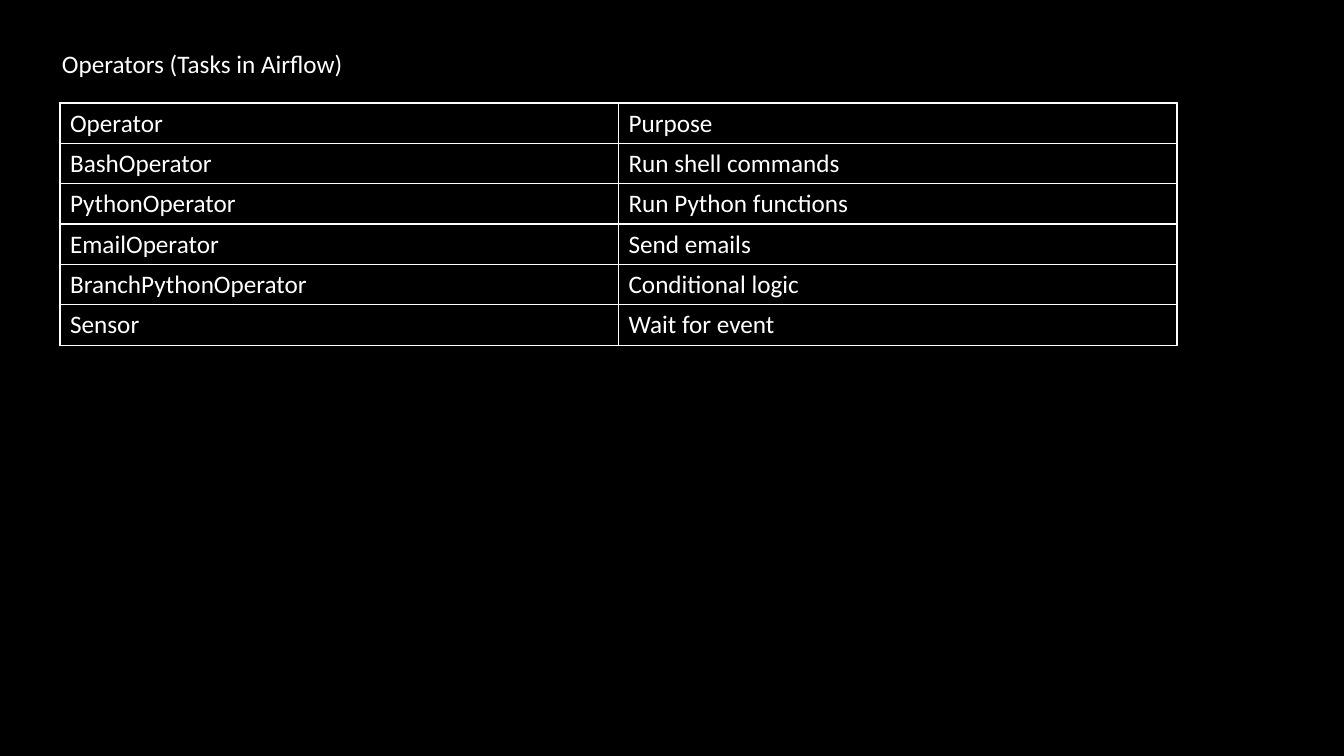
from lxml.etree import SubElement
from pptx import Presentation
from pptx.dml.color import RGBColor
from pptx.enum.text import MSO_ANCHOR, MSO_AUTO_SIZE
from pptx.oxml.ns import qn
from pptx.util import Emu, Pt

COLORS = {"background": "000000", "text": "FFFFFF", "border": "FFFFFF"}
FONT = "Calibri"
EMU_PER_PX = 914400 / 100.8

OPERATORS = [
    ("Operator", "Purpose"),
    ("BashOperator", "Run shell commands"),
    ("PythonOperator", "Run Python functions"),
    ("EmailOperator", "Send emails"),
    ("BranchPythonOperator", "Conditional logic"),
    ("Sensor", "Wait for event"),
]


def px(n):
    return Emu(round(n * EMU_PER_PX))


def rgb(name):
    return RGBColor.from_string(COLORS[name])


def write(tf, text, size=18, color="text", font=FONT):
    r = tf.paragraphs[0].add_run()
    r.text = text
    r.font.size = Pt(size)
    r.font.name = font
    r.font.color.rgb = rgb(color)


class SlideBuilder:
    def __init__(self, prs):
        self.s = prs.slides.add_slide(prs.slide_layouts[6])
        fill = self.s.background.fill
        fill.solid()
        fill.fore_color.rgb = rgb("background")

    def text(self, text, x, y, w, h, **style):
        sp = self.s.shapes.add_textbox(px(x), px(y), px(w), px(h))
        tf = sp.text_frame
        tf.word_wrap = False
        tf.auto_size = MSO_AUTO_SIZE.SHAPE_TO_FIT_TEXT
        tf.vertical_anchor = MSO_ANCHOR.MIDDLE
        write(tf, text, **style)

    def table(self, rows, x, y, w, h, **style):
        frame = self.s.shapes.add_table(
            len(rows), len(rows[0]), px(x), px(y), px(w), px(h))
        table = frame.table
        table.first_row = False
        table.horz_banding = False
        for i, row in enumerate(rows):
            for j, text in enumerate(row):
                cell = table.cell(i, j)
                cell.vertical_anchor = MSO_ANCHOR.MIDDLE
                self.borders(cell)
                cell.fill.background()
                write(cell.text_frame, text, **style)

    def borders(self, cell, color="border", width=1):
        tc_pr = cell._tc.get_or_add_tcPr()
        for side in "LRTB":
            ln = SubElement(tc_pr, qn(f"a:ln{side}"), w=str(Pt(width)))
            fill = SubElement(ln, qn("a:solidFill"))
            SubElement(fill, qn("a:srgbClr"), val=COLORS[color])


def main():
    prs = Presentation()
    prs.slide_width, prs.slide_height = px(1344), px(756)
    slide = SlideBuilder(prs)
    slide.text("Operators (Tasks in Airflow)", 52, 43, 304, 40)
    slide.table(OPERATORS, 60, 103, 1117, 242)
    prs.save("out.pptx")


if __name__ == "__main__":
    main()
